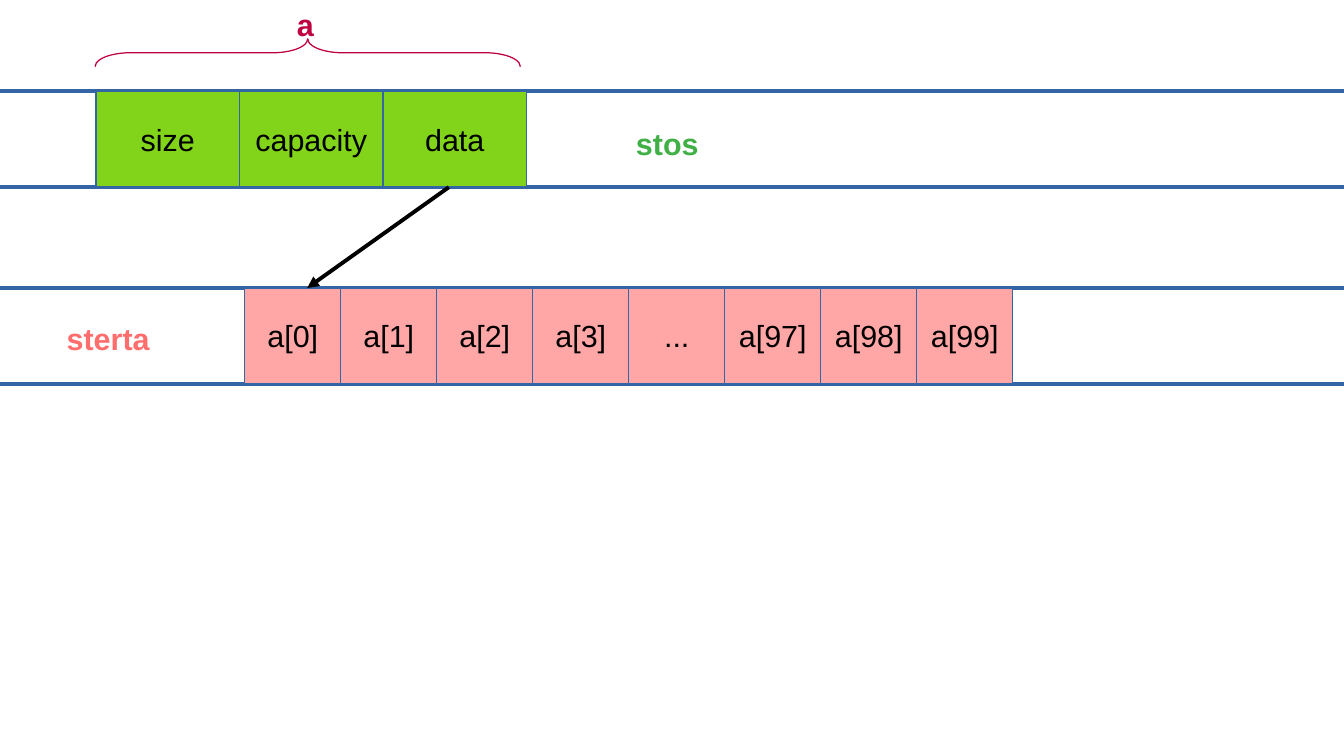
from dataclasses import dataclass

from lxml import etree
from pptx import Presentation
from pptx.dml.color import RGBColor
from pptx.enum.shapes import MSO_CONNECTOR, MSO_SHAPE
from pptx.enum.text import MSO_ANCHOR, MSO_AUTO_SIZE, PP_ALIGN
from pptx.oxml.ns import qn
from pptx.util import Cm, Pt

RECTANGLE = MSO_SHAPE.RECTANGLE
LEFT_BRACE = MSO_SHAPE.LEFT_BRACE
STRAIGHT = MSO_CONNECTOR.STRAIGHT
CENTER = PP_ALIGN.CENTER
LEFT = PP_ALIGN.LEFT
MIDDLE = MSO_ANCHOR.MIDDLE
FIT_SHAPE = MSO_AUTO_SIZE.SHAPE_TO_FIT_TEXT

PAGE_WIDTH, PAGE_HEIGHT = 28, 15.75
BAND_HEIGHT, CELL_HEIGHT = 2, 1.99
BLUE, BLACK, CRIMSON = "3465A4", "000000", "BF0041"


@dataclass(frozen=True)
class MemoryBand:
    top: float
    cells_left: float
    cell_width: float
    fill: str
    cells: tuple[str, ...]


@dataclass(frozen=True)
class Label:
    text: str
    left: float
    top: float
    width: float
    color: str
    align: PP_ALIGN


STACK = MemoryBand(1.9, 2, 2.99, "81D41A", ("size", "capacity", "data"))
HEAP = MemoryBand(6, 5.1, 2, "FFA6A6",
                  ("a[0]", "a[1]", "a[2]", "a[3]", "...",
                   "a[97]", "a[98]", "a[99]"))
LABELS = (
    Label("a", 5.56, 0, 1.6, CRIMSON, CENTER),
    Label("stos", 13, 2.49, 3.3, "3FAF46", LEFT),
    Label("sterta", 1.14, 6.55, 3.3, "FF6D6D", LEFT),
)


def rgb(color: str) -> RGBColor:
    return RGBColor.from_string(color)


def write(shape, text: str, color: str, align: PP_ALIGN, bold: bool) -> None:
    para = shape.text_frame.paragraphs[0]
    para.text = text
    para.alignment = align
    font = para.runs[0].font
    font.name, font.size, font.bold = "Arial", Pt(18), bold
    font.color.rgb = rgb(color)


def add_line(page, x1: float, y1: float, x2: float, y2: float,
             color: str = BLUE, width: float = 0, arrow: bool = False) -> None:
    line = page.shapes.add_connector(STRAIGHT, Cm(x1), Cm(y1), Cm(x2), Cm(y2))
    line.line.color.rgb = rgb(color)
    line.line.width = Pt(width)
    if arrow:
        outline = line.line._get_or_add_ln()
        etree.SubElement(outline, qn("a:tailEnd"), type="triangle")
    etree.SubElement(line._element.spPr, qn("a:effectLst"))


def add_band(page, band: MemoryBand) -> None:
    for y in (band.top, band.top + BAND_HEIGHT):
        add_line(page, 0, y, PAGE_WIDTH, y)
    for index, text in enumerate(band.cells):
        left = band.cells_left + index * band.cell_width
        cell = page.shapes.add_shape(RECTANGLE, Cm(left), Cm(band.top),
                                     Cm(band.cell_width), Cm(CELL_HEIGHT))
        cell.shadow.inherit = False
        cell.fill.solid()
        cell.fill.fore_color.rgb = rgb(band.fill)
        cell.line.color.rgb = rgb(BLUE)
        cell.line.width = Pt(0)
        cell.text_frame.vertical_anchor = MIDDLE
        write(cell, text, BLACK, CENTER, bold=False)


def add_brace(page) -> None:
    brace = page.shapes.add_shape(LEFT_BRACE, Cm(6.12), Cm(-3.33),
                                  Cm(0.58), Cm(8.86))
    brace.rotation = 90
    brace.adjustments[0] = 1.26
    brace.shadow.inherit = False
    brace.fill.background()
    brace.line.color.rgb = rgb(CRIMSON)
    brace.line.width = Pt(0)


def add_label(page, label: Label) -> None:
    box = page.shapes.add_textbox(Cm(label.left), Cm(label.top),
                                  Cm(label.width), Cm(0.97))
    box.text_frame.word_wrap = True
    box.text_frame.auto_size = FIT_SHAPE
    write(box, label.text, label.color, label.align, bold=True)


def main() -> None:
    deck = Presentation()
    deck.slide_width, deck.slide_height = Cm(PAGE_WIDTH), Cm(PAGE_HEIGHT)
    page = deck.slides.add_slide(deck.slide_layouts[6])

    # Heap and stack, with the brace over the vector object
    add_band(page, HEAP)
    add_brace(page)
    add_band(page, STACK)

    # Pointer from data to the first element
    add_line(page, 9.35, STACK.top + BAND_HEIGHT, 6.4, HEAP.top,
             BLACK, 2.3, arrow=True)

    # Names
    for label in LABELS:
        add_label(page, label)

    deck.save("out.pptx")


if __name__ == "__main__":
    main()
